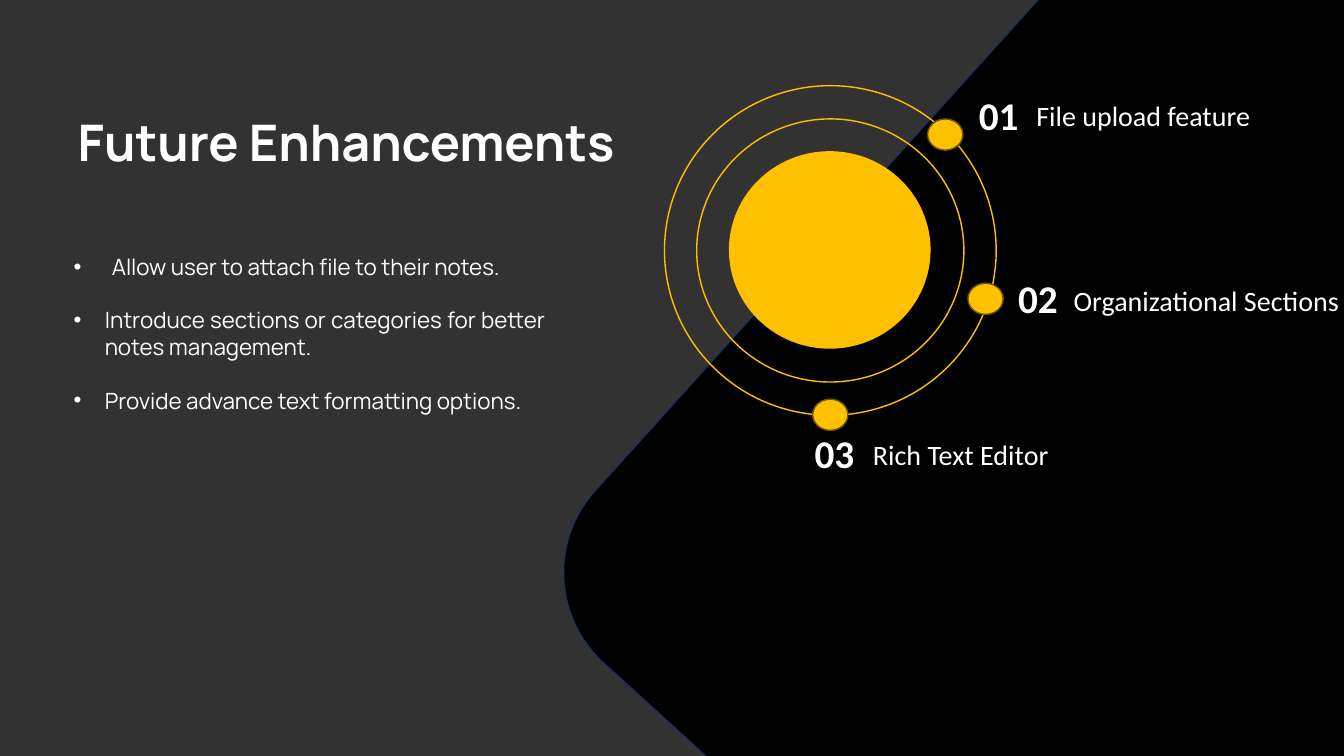
"""Build the Future Enhancements slide with its ringed feature list."""
import dataclasses
import typing

import pptx
import pptx.dml.color
import pptx.enum.shapes
import pptx.enum.text
import pptx.util

Inches = pptx.util.Inches
Pt = pptx.util.Pt
RGB = pptx.dml.color.RGBColor
Point = tuple[float, float]

GREY = RGB(0x32, 0x32, 0x32)
BLACK = RGB(0, 0, 0)
NAVY = RGB(0x1E, 0x32, 0x56)
GOLD = RGB(0xFF, 0xC0, 0x00)
BROWN = RGB(0x70, 0x54, 0x00)
WHITE = RGB(0xFF, 0xFF, 0xFF)


@dataclasses.dataclass(frozen=True)
class Box:
    left: float
    top: float
    width: float
    height: float

    def place(self) -> list[int]:
        return [Inches(n) for n in (self.left, self.top, self.width, self.height)]


@dataclasses.dataclass(frozen=True)
class Disc:
    box: Box
    fill: typing.Optional[RGB]
    line: typing.Optional[RGB]


@dataclasses.dataclass(frozen=True)
class Label:
    text: str
    box: Box
    size: int
    bold: bool


@dataclasses.dataclass(frozen=True)
class Bullet:
    text: str
    indent: float


DISCS = [
    Disc(Box(7.23, 1.5, 2, 1.96), GOLD, None),
    Disc(Box(6.91, 1.18, 2.65, 2.61), None, GOLD),
    Disc(Box(6.59, 0.85, 3.29, 3.27), None, GOLD),
] + [
    Disc(Box(left, top, 0.35, 0.31), GOLD, BROWN)
    for left, top in [(9.2, 1.18), (9.6, 2.81), (8.06, 3.96)]
]
LABELS = [
    Label("01", Box(9.61, 0.86, 0.81, 0.57), 28, True),
    Label("02", Box(10, 2.67, 0.81, 0.57), 28, True),
    Label("03", Box(7.98, 4.21, 0.81, 0.57), 28, True),
    Label("File upload feature", Box(10.18, 0.93, 3.39, 0.44), 20, False),
    Label("Organizational Sections", Box(10.55, 2.76, 3.05, 0.44), 20, False),
    Label("Rich Text Editor", Box(8.56, 4.29, 3.05, 0.44), 20, False),
]
BULLETS = [
    Bullet("Allow user to attach file to their notes.", 0.38),
    Bullet("Introduce sections or categories for better notes management.", 0.31),
    Bullet("Provide advance text formatting options.", 0.31),
]
EDGE = [(10.41, -0.13), (13.5, -0.13), (13.5, 7.45), (13.45, 7.51), (7.01, 7.51), (6, 6.59)]
CURVE = [(6, 6.59), (5.49, 6.14), (5.45, 5.36), (5.91, 4.86)]
STEPS = 24


def bend(pts: list[Point], t: float) -> Point:
    while len(pts) > 1:
        pts = [
            (a[0] + (b[0] - a[0]) * t, a[1] + (b[1] - a[1]) * t)
            for a, b in zip(pts, pts[1:])
        ]
    return pts[0]


def paint(shape, fill: typing.Optional[RGB], line: typing.Optional[RGB]) -> None:
    shape.shadow.inherit = False
    if fill is None:
        shape.fill.background()
    else:
        shape.fill.solid()
        shape.fill.fore_color.rgb = fill
    if line is None:
        shape.line.fill.background()
    else:
        shape.line.color.rgb = line
        shape.line.width = Pt(1)


def style(para, face: str, size: int, bold: bool = False) -> None:
    for run in para.runs:
        run.font.name = face
        run.font.size = Pt(size)
        run.font.bold = bold
        run.font.color.rgb = WHITE


def move(shape, box: Box) -> None:
    shape.left, shape.top, shape.width, shape.height = box.place()


def add_panel(slide) -> None:
    pts = EDGE + [bend(CURVE, n / STEPS) for n in range(1, STEPS + 1)]
    form = slide.shapes.build_freeform(
        Inches(pts[0][0]), Inches(pts[0][1]), scale=1.0
    )
    form.add_line_segments([(Inches(x), Inches(y)) for x, y in pts[1:]], close=True)
    paint(form.convert_to_shape(), BLACK, NAVY)


def add_disc(slide, disc: Disc) -> None:
    oval = pptx.enum.shapes.MSO_SHAPE.OVAL
    paint(slide.shapes.add_shape(oval, *disc.box.place()), disc.fill, disc.line)


def add_label(slide, label: Label) -> None:
    frame = slide.shapes.add_textbox(*label.box.place()).text_frame
    frame.word_wrap = True
    frame.text = label.text
    style(frame.paragraphs[0], "Calibri", label.size, label.bold)


def set_title(slide) -> None:
    title = slide.shapes.title
    move(title, Box(0.67, 0.72, 5.87, 1.45))
    frame = title.text_frame
    frame.text = "Future Enhancements"
    frame.auto_size = pptx.enum.text.MSO_AUTO_SIZE.NONE
    frame.vertical_anchor = pptx.enum.text.MSO_ANCHOR.MIDDLE
    para = frame.paragraphs[0]
    para.alignment = pptx.enum.text.PP_ALIGN.LEFT
    para.line_spacing = 0.9
    style(para, "Manrope", 36, True)


def set_list(slide) -> None:
    body = slide.placeholders[1]
    move(body, Box(0.63, 2.46, 4.88, 2.26))
    frame = body.text_frame
    frame.text = "\n".join(item.text for item in BULLETS)
    frame.auto_size = pptx.enum.text.MSO_AUTO_SIZE.NONE
    for para, item in zip(frame.paragraphs, BULLETS):
        para.alignment = pptx.enum.text.PP_ALIGN.JUSTIFY
        para.space_before = Pt(0)
        para.space_after = Pt(19)
        props = para._p.get_or_add_pPr()
        props.set("marL", str(Inches(item.indent)))
        props.set("indent", str(-Inches(item.indent)))
        style(para, "Manrope", 16)


def main() -> None:
    deck = pptx.Presentation()
    deck.slide_width, deck.slide_height = Inches(13.33), Inches(7.5)
    slide = deck.slides.add_slide(deck.slide_layouts[1])
    slide.background.fill.solid()
    slide.background.fill.fore_color.rgb = GREY
    set_title(slide)
    set_list(slide)
    add_panel(slide)
    for disc in DISCS:
        add_disc(slide, disc)
    for label in LABELS:
        add_label(slide, label)
    deck.save("out.pptx")


if __name__ == "__main__":
    main()
